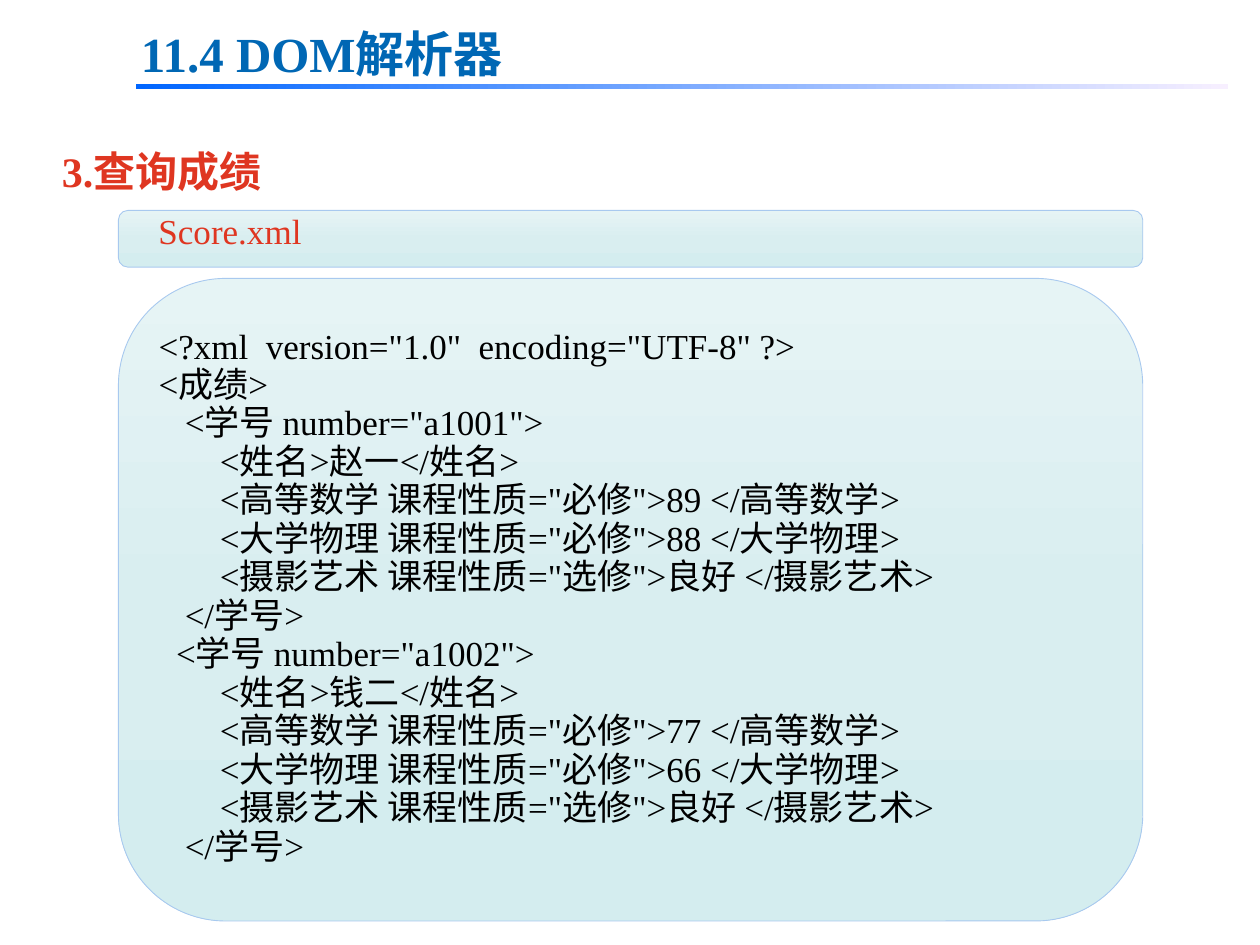
from copy import deepcopy
from dataclasses import dataclass

from pptx import Presentation
from pptx.dml.color import RGBColor
from pptx.enum.shapes import MSO_SHAPE
from pptx.enum.text import MSO_ANCHOR, MSO_AUTO_SIZE, PP_ALIGN
from pptx.util import Inches, Pt


@dataclass(frozen=True)
class Theme:
    font: str = "Times New Roman"
    heading_color: str = "0067B4"
    accent_color: str = "DF3621"
    code_color: str = "000000"
    panel_line: str = "A8C9EF"
    panel_stops: tuple = ((0, "E6F4F5"), (0.5, "D9EEF0"), (1, "D4EDEF"))
    rule_stops: tuple = ((0, "0066FF"), (1, "F7EFFF"))
    heading_size: int = 28
    title_size: int = 24
    code_size: int = 20
    code_spacing: int = 22


CODE = """<?xml  version="1.0"  encoding="UTF-8" ?>
<成绩>
   <学号 number="a1001">
       <姓名>赵一</姓名>
       <高等数学 课程性质="必修">89 </高等数学>
       <大学物理 课程性质="必修">88 </大学物理>
       <摄影艺术 课程性质="选修">良好 </摄影艺术>
   </学号>
  <学号 number="a1002">
       <姓名>钱二</姓名>
       <高等数学 课程性质="必修">77 </高等数学>
       <大学物理 课程性质="必修">66 </大学物理>
       <摄影艺术 课程性质="选修">良好 </摄影艺术>
   </学号>"""


def write_text(frame, text, *, font, size, color, bold=False,
               align=PP_ALIGN.LEFT, spacing=None, anchor=MSO_ANCHOR.TOP):
    """Fill a text frame with one paragraph per line of text."""
    frame.word_wrap = True
    frame.auto_size = MSO_AUTO_SIZE.NONE
    frame.vertical_anchor = anchor
    for index, line in enumerate(text.split("\n")):
        paragraph = frame.add_paragraph() if index else frame.paragraphs[0]
        paragraph.alignment = align
        if spacing:
            paragraph.line_spacing = Pt(spacing)
        run = paragraph.add_run()
        run.text = line
        run.font.name = font
        run.font.size = Pt(size)
        run.font.bold = bold
        run.font.color.rgb = RGBColor.from_string(color)


def fill_gradient(fill, stops, angle):
    """Apply (position, colour) stops; the angle runs counter-clockwise."""
    fill.gradient()
    fill.gradient_angle = angle
    stop_list = fill._fill._gradFill.gsLst
    while len(stop_list) < len(stops):
        stop_list.append(deepcopy(stop_list[-1]))
    for stop, (position, color) in zip(fill.gradient_stops, stops):
        stop.position = position
        stop.color.rgb = RGBColor.from_string(color)


class SlideBuilder:
    def __init__(self, slide, theme):
        self.slide = slide
        self.theme = theme

    def gradient_shape(self, kind, box, stops, angle, line=None):
        shape = self.slide.shapes.add_shape(kind, *map(Inches, box))
        shape.shadow.inherit = False
        fill_gradient(shape.fill, stops, angle)
        if line:
            shape.line.color.rgb = RGBColor.from_string(line)
            shape.line.width = Pt(0.5)
        else:
            shape.line.fill.background()

    def panel(self, box):
        self.gradient_shape(MSO_SHAPE.ROUNDED_RECTANGLE, box, self.theme.panel_stops,
                            270, self.theme.panel_line)

    def rule(self, box):
        self.gradient_shape(MSO_SHAPE.RECTANGLE, box, self.theme.rule_stops, 0)

    def text(self, box, text, **text_format):
        shape = self.slide.shapes.add_textbox(*map(Inches, box))
        write_text(shape.text_frame, text, font=self.theme.font, **text_format)

    def code(self, box, text, color):
        self.text(box, text, color=color, size=self.theme.code_size,
                  spacing=self.theme.code_spacing)

    def heading(self, box, text):
        self.text(box, text, size=self.theme.heading_size, bold=True,
                  color=self.theme.heading_color, align=PP_ALIGN.JUSTIFY)

    def title(self, box, text):
        title = self.slide.shapes.title
        title.left, title.top, title.width, title.height = map(Inches, box)
        write_text(title.text_frame, text, font=self.theme.font, bold=True,
                   size=self.theme.title_size, color=self.theme.accent_color,
                   anchor=MSO_ANCHOR.MIDDLE)


def main():
    presentation = Presentation()
    presentation.slide_width = Inches(10)
    presentation.slide_height = Inches(7.5)
    title_only = presentation.slide_layouts[5]
    theme = Theme()
    builder = SlideBuilder(presentation.slides.add_slide(title_only), theme)

    builder.panel((0.94, 2.21, 8.13, 5.1))
    builder.code((1.16, 2.55, 7.68, 4.42), CODE, theme.code_color)
    builder.panel((0.94, 1.67, 8.13, 0.45))
    builder.code((1.16, 1.64, 3, 0.41), "Score.xml", theme.accent_color)
    builder.rule((1.08, 0.67, 8.67, 0.04))
    builder.heading((1.02, 0.14, 5.09, 0.57), "11.4 DOM解析器")
    builder.title((0.39, 1.07, 9.39, 0.57), "3.查询成绩")

    presentation.save("out.pptx")


if __name__ == "__main__":
    main()
